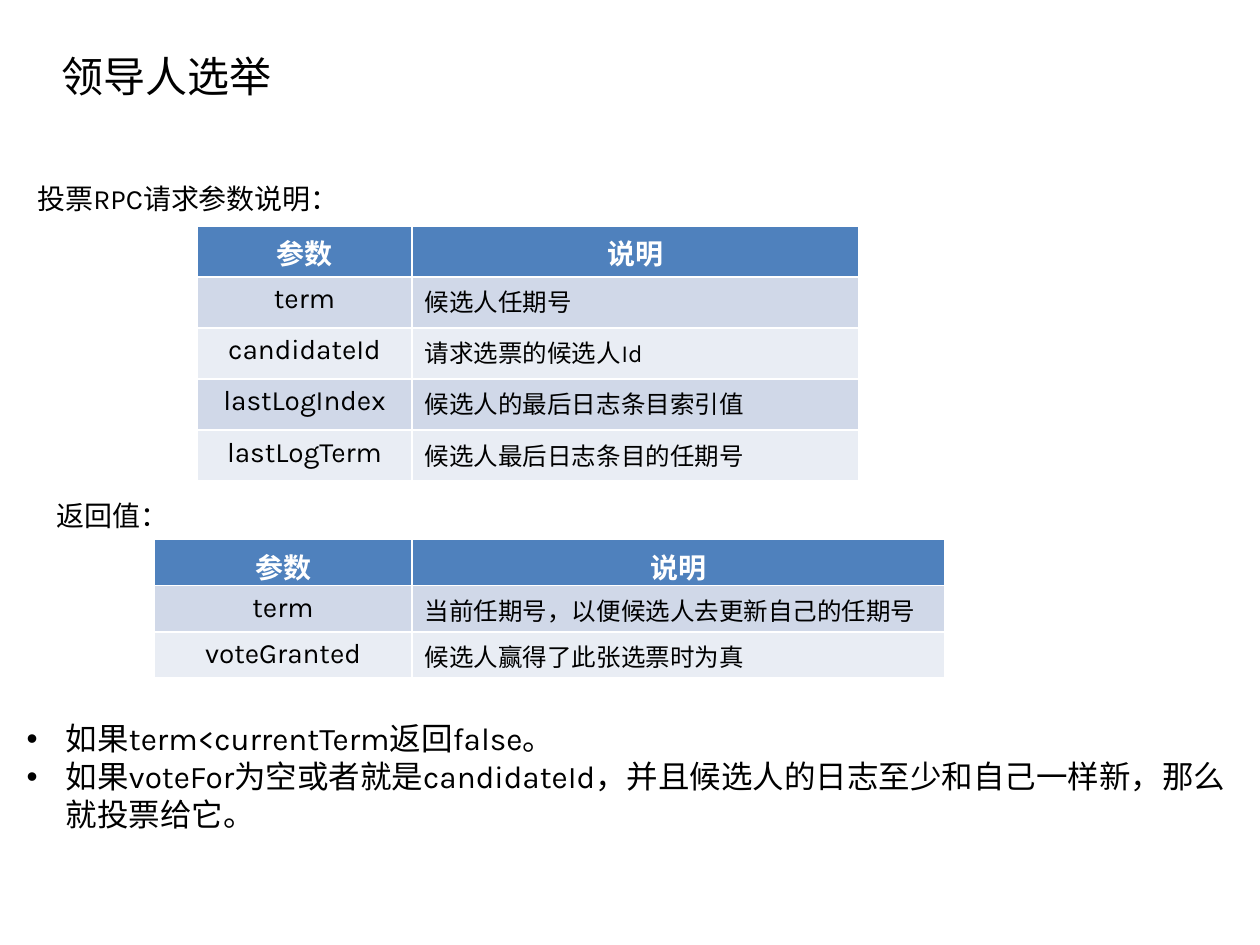
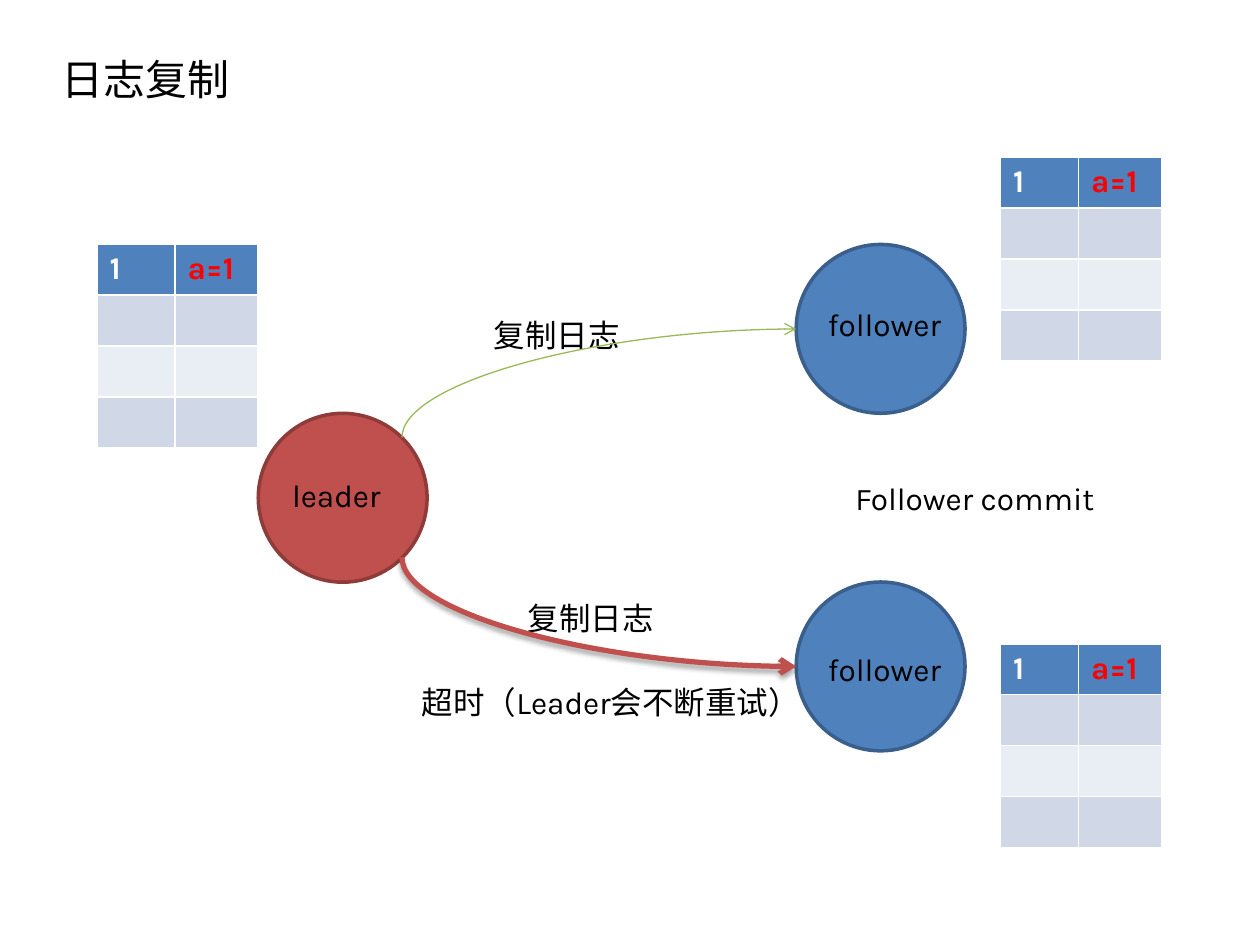
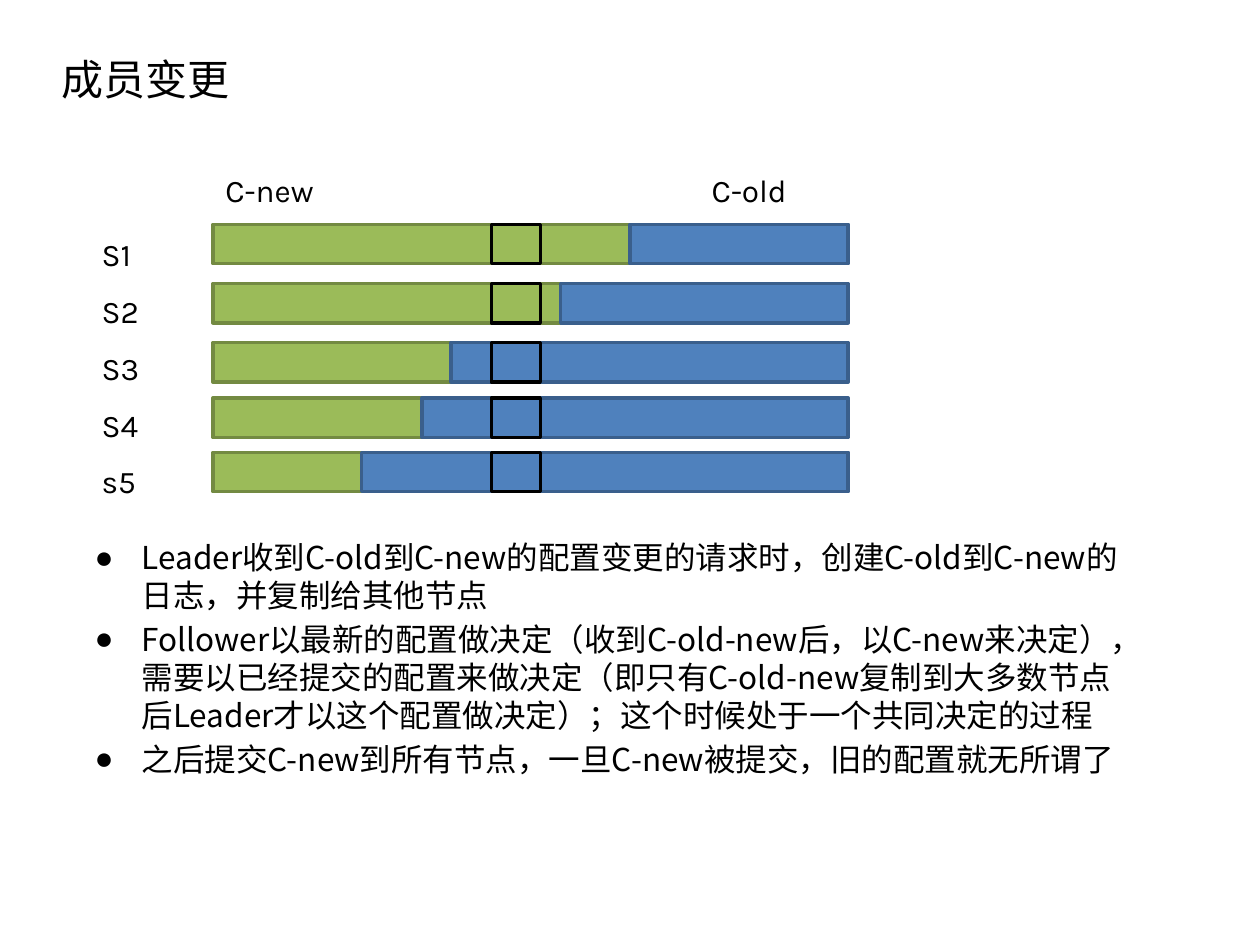
from dataclasses import dataclass

from lxml import etree
from pptx import Presentation
from pptx.dml.color import RGBColor
from pptx.enum import shapes, text
from pptx.oxml import ns
from pptx.util import Pt

COLORS = {
    "ink": "000000", "white": "FFFFFF", "value": "FF0000",
    "blue": "4F81BD", "blue_edge": "3A5F8C",
    "red": "C0504D", "red_edge": "8E3B39",
    "green": "9BBB59", "green_edge": "738A42", "green_arrow": "98B955",
    "band_dark": "D0D8E8", "band_light": "E9EDF4",
}
LATIN, CJK = "Karla", "Noto Sans CJK SC"
TITLE_ONLY, TITLE_AND_BODY = 5, 1


@dataclass(frozen=True)
class Box:
    left: float
    top: float
    width: float
    height: float

    def lengths(self) -> tuple:
        return Pt(self.left), Pt(self.top), Pt(self.width), Pt(self.height)


@dataclass(frozen=True)
class Label:
    wording: str
    box: Box
    size: float = 18
    spacing: float = 1.0


@dataclass(frozen=True)
class Node:
    left: float
    top: float
    fill: str


@dataclass(frozen=True)
class Replication:
    """A curve that leaves the leader vertically and enters a follower level."""
    start: tuple
    end: tuple
    color: str
    weight: float
    shadowed: bool


@dataclass(frozen=True)
class Server:
    top: float
    split: float


def rgb(color: str) -> RGBColor:
    return RGBColor.from_string(COLORS[color])


def add_xml(parent, tag: str, **attributes: str):
    child = etree.SubElement(parent, ns.qn(tag))
    for key, value in attributes.items():
        child.set(key, value)
    return child


def style(paragraph, size: float, color: str = "ink", font: str = LATIN,
          bold: bool = False) -> None:
    for run in paragraph.runs:
        run.font.name, run.font.size, run.font.bold = font, Pt(size), bold
        run.font.color.rgb = rgb(color)


def move(placeholder, box: Box) -> None:
    (placeholder.left, placeholder.top,
     placeholder.width, placeholder.height) = box.lengths()


def add_titled_slide(deck, title: str, top: float = 0,
                     layout: int = TITLE_ONLY):
    slide = deck.slides.add_slide(deck.slide_layouts[layout])
    heading = slide.shapes.title
    move(heading, Box(28, top, 648, 90))
    frame = heading.text_frame
    frame.text = title
    frame.auto_size = text.MSO_AUTO_SIZE.NONE
    frame.vertical_anchor = text.MSO_ANCHOR.MIDDLE
    frame.paragraphs[0].alignment = text.PP_ALIGN.LEFT
    style(frame.paragraphs[0], 24, font=CJK)
    return slide


def fill_body(slide, box: Box, points: list, bullet: str, indent: float,
              gap: float, font: str) -> None:
    body = slide.placeholders[1]
    move(body, box)
    frame = body.text_frame
    frame.text = "\n".join(points)
    frame.auto_size = text.MSO_AUTO_SIZE.NONE
    for paragraph in frame.paragraphs:
        paragraph.space_before = Pt(gap)
        style(paragraph, 18, font=font)
        properties = paragraph._p.get_or_add_pPr()
        properties.set("marL", str(Pt(indent)))
        properties.set("indent", str(-Pt(indent)))
        add_xml(properties, "a:buFont", typeface="Arial")
        add_xml(properties, "a:buChar", char=bullet)


def add_label(slide, label: Label) -> None:
    frame = slide.shapes.add_textbox(*label.box.lengths()).text_frame
    frame.word_wrap = True
    frame.text = label.wording
    for paragraph in frame.paragraphs:
        paragraph.line_spacing = label.spacing
        style(paragraph, label.size)


def add_banded_table(slide, box: Box, first_width: float, row_count: int):
    table = slide.shapes.add_table(row_count, 2, *box.lengths()).table
    table.columns[0].width = Pt(first_width)
    table.columns[1].width = Pt(box.width - first_width)
    for index, row in enumerate(table.rows):
        row.height = Pt(box.height / row_count)
        band = "band_dark" if index % 2 else "band_light"
        for cell in row.cells:
            cell.fill.solid()
            cell.fill.fore_color.rgb = rgb(band if index else "blue")
    return table


def write_cell(cell, wording: str, size: float, color: str = "ink",
               bold: bool = False, centred: bool = False) -> None:
    cell.text = wording
    paragraph = cell.text_frame.paragraphs[0]
    if centred:
        paragraph.alignment = text.PP_ALIGN.CENTER
    style(paragraph, size, color, bold=bold)


def add_parameter_table(slide, box: Box, first_width: float,
                        parameters: list) -> None:
    table = add_banded_table(slide, box, first_width, len(parameters) + 1)
    for column, heading in enumerate(("参数", "说明")):
        write_cell(table.cell(0, column), heading, 16, "white", True, True)
    for row, (name, meaning) in enumerate(parameters, 1):
        write_cell(table.cell(row, 0), name, 16, centred=True)
        write_cell(table.cell(row, 1), meaning, 14)


def add_log(slide, left: float, top: float) -> None:
    """Draw a server's log, with one entry and three free rows."""
    table = add_banded_table(slide, Box(left, top, 92, 115.2), 44.6, 4)
    write_cell(table.cell(0, 0), "1", 18, "white", True)
    write_cell(table.cell(0, 1), "a=1", 18, "value", True)


def add_outlined(slide, kind, box: Box, fill: str, edge: str) -> None:
    shape = slide.shapes.add_shape(kind, *box.lengths())
    shape.shadow.inherit = False
    shape.fill.solid()
    shape.fill.fore_color.rgb = rgb(fill)
    shape.line.color.rgb = rgb(edge)
    shape.line.width = Pt(2)


def add_replication(slide, curve: Replication) -> None:
    """Lay the preset curve upright about its centre, then turn it."""
    (x1, y1), (x2, y2) = curve.start, curve.end
    rising = y2 < y1
    centre_x, centre_y = (x1 + x2) / 2, (y1 + y2) / 2
    half_width = abs(y2 - y1) / 2
    half_height = (x2 - x1) / 2 * (1 if rising else -1)
    connector = slide.shapes.add_connector(
        shapes.MSO_CONNECTOR.CURVE,
        Pt(centre_x - half_width), Pt(centre_y - half_height),
        Pt(centre_x + half_width), Pt(centre_y + half_height))
    connector.line.color.rgb = rgb(curve.color)
    connector.line.width = Pt(curve.weight)
    properties = connector._element.spPr
    properties.find(ns.qn("a:xfrm")).set("rot", str((270 if rising else 90) * 60000))
    properties.find(ns.qn("a:prstGeom")).set("prst", "curvedConnector2")
    add_xml(properties.find(ns.qn("a:ln")), "a:tailEnd", type="arrow")
    effects = add_xml(properties, "a:effectLst")
    if curve.shadowed:
        shadow = add_xml(effects, "a:outerShdw", blurRad=str(Pt(3.1)),
                         dist=str(Pt(1.8)), dir="5400000", rotWithShape="0")
        tint = add_xml(shadow, "a:srgbClr", val=COLORS["ink"])
        add_xml(tint, "a:alpha", val="35000")


def build_election(deck) -> None:
    slide = add_titled_slide(deck, "领导人选举", -2, TITLE_AND_BODY)
    fill_body(slide, Box(8, 407.5, 703.5, 73), [
        "如果term<currentTerm返回false。",
        "如果voteFor为空或者就是candidateId，并且候选人的日志至少和自己一样新，那么就投票给它。",
    ], "•", 22.5, 0, LATIN)
    add_label(slide, Label("投票RPC请求参数说明：", Box(14.4, 100, 227, 26.6), 16))
    add_parameter_table(slide, Box(112.5, 129, 378, 146), 123, [
        ("term", "候选人任期号"),
        ("candidateId", "请求选票的候选人Id"),
        ("lastLogIndex", "候选人的最后日志条目索引值"),
        ("lastLogTerm", "候选人最后日志条目的任期号"),
    ])
    add_label(slide, Label("返回值：", Box(25.2, 281.5, 127.5, 26.6), 16))
    add_parameter_table(slide, Box(88, 308.2, 452, 78.6), 147.5, [
        ("term", "当前任期号，以便候选人去更新自己的任期号"),
        ("voteGranted", "候选人赢得了此张选票时为真"),
    ])


def build_replication(deck) -> None:
    slide = add_titled_slide(deck, "日志复制")
    diameter = 96.5
    for node in (Node(147.6, 236.2, "red"), Node(455, 332.6, "blue"),
                 Node(455, 139.7, "blue")):
        add_outlined(slide, shapes.MSO_SHAPE.OVAL,
                     Box(node.left, node.top, diameter, diameter),
                     node.fill, node.fill + "_edge")
    for left, top in ((55.4, 139.7), (571.7, 368), (571.7, 90)):
        add_log(slide, left, top)
    for label in (Label("复制日志", Box(275, 177, 130, 29)),
                  Label("复制日志", Box(294.5, 339, 130, 29)),
                  Label("Follower commit", Box(481.7, 270, 194.4, 29))):
        add_label(slide, label)
    add_replication(slide, Replication((229.7, 250), (455, 188), "green_arrow", 0.75, False))
    add_replication(slide, Replication((229.7, 318.4), (455, 380.8), "red", 3, True))
    for label in (Label("超时（Leader会不断重试）", Box(234, 386.6, 251.3, 29)),
                  Label("follower", Box(466, 170.6, 85, 29)),
                  Label("follower", Box(466, 368, 85, 29)),
                  Label("leader", Box(159.8, 268.6, 85, 29))):
        add_label(slide, label)


def build_membership(deck) -> None:
    slide = add_titled_slide(deck, "成员变更", layout=TITLE_AND_BODY)
    fill_body(slide, Box(46.8, 304, 611.3, 164), [
        "Leader收到C-old到C-new的配置变更的请求时，创建C-old到C-new的日志，并复制给其他节点",
        "Follower以最新的配置做决定（收到C-old-new后，以C-new来决定），"
        "需要以已经提交的配置来做决定（即只有C-old-new复制到大多数节点后"
        "Leader才以这个配置做决定）；这个时候处于一个共同决定的过程",
        "之后提交C-new到所有节点，一旦C-new被提交，旧的配置就无所谓了",
    ], "●", 27, 3.6, CJK)
    add_label(slide, Label("S1\nS2\nS3\nS4\ns5", Box(51, 120.2, 602.6, 167), spacing=1.5))

    left, right, height = 121.7, 484.7, 22.5
    moment, moment_width = 280.8, 28
    servers = (Server(128.2, 360), Server(162, 320.4), Server(195.8, 257.8),
               Server(227.5, 241), Server(258.5, 206.6))
    bar = shapes.MSO_SHAPE.RECTANGLE
    for server in servers:
        add_outlined(slide, bar, Box(left, server.top, server.split - left, height),
                     "green", "green_edge")
        add_outlined(slide, bar, Box(server.split, server.top, right - server.split, height),
                     "blue", "blue_edge")
    for wording, label_left in (("C-new", 121.7), ("C-old", 399.6)):
        add_label(slide, Label(wording, Box(label_left, 94.3, 85, 29)))
    for server in servers:
        fill = "green" if server.split > moment else "blue"
        add_outlined(slide, bar, Box(moment, server.top, moment_width, height), fill, "ink")


def main() -> None:
    deck = Presentation()
    deck.slide_width, deck.slide_height = Pt(720), Pt(540)
    build_election(deck)
    build_replication(deck)
    build_membership(deck)
    deck.save("out.pptx")


if __name__ == "__main__":
    main()
